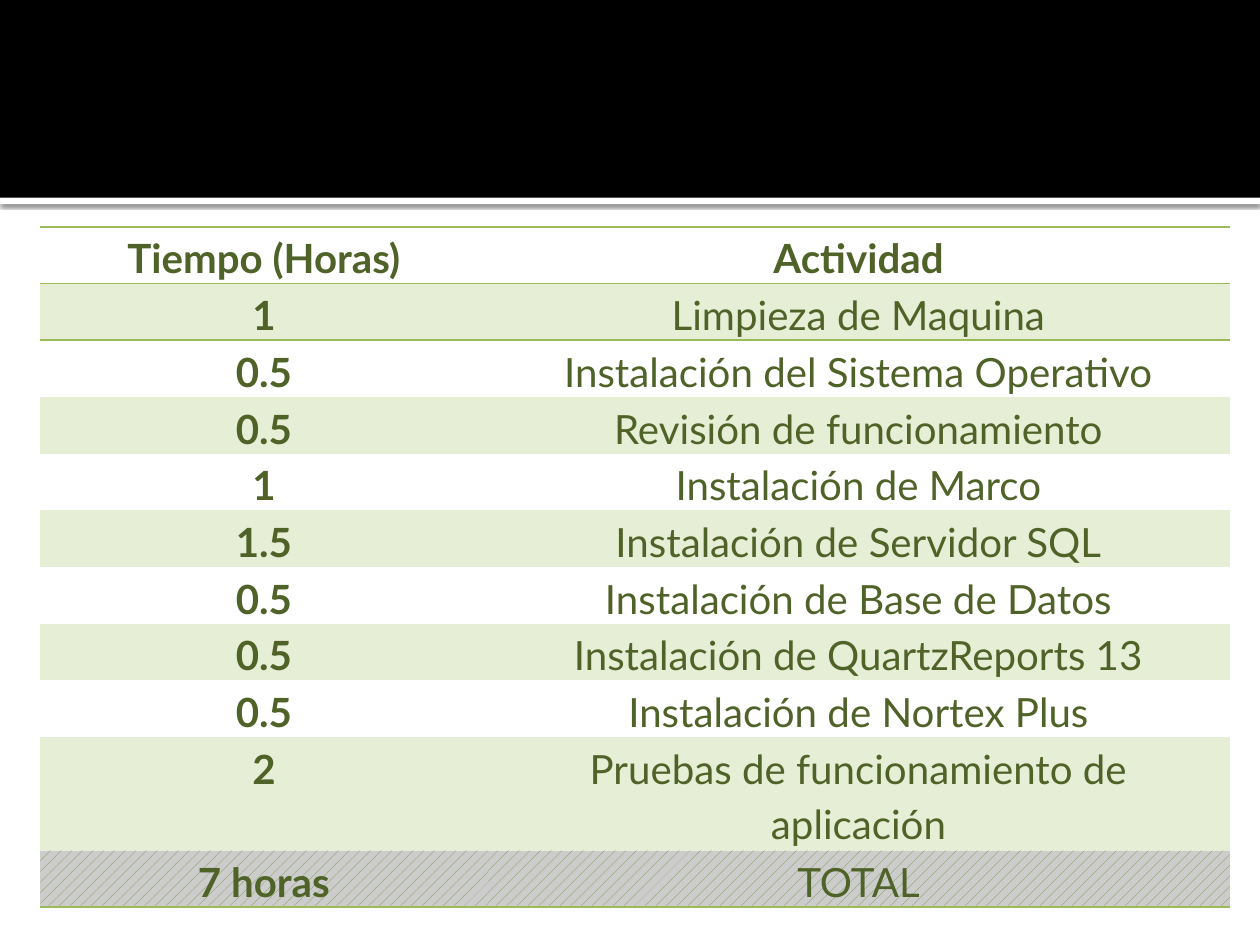
from dataclasses import dataclass

from lxml.etree import SubElement
from pptx import Presentation
from pptx.dml.color import RGBColor
from pptx.enum.dml import MSO_PATTERN
from pptx.enum.shapes import MSO_SHAPE
from pptx.enum.text import PP_ALIGN
from pptx.oxml.ns import qn
from pptx.util import Inches, Pt


@dataclass(frozen=True)
class Theme:
    font: str = "Lato"
    size: float = 23
    lead: float = 1.15
    text: str = "4F6228"
    rule: str = "9BBB59"
    shade: str = "E6EED5"
    black: str = "000000"
    white: str = "FFFFFF"
    hatch: str = "76923C"
    gray: str = "CCCCCC"


THEME = Theme()
WIDE, HIGH = 10, 7.5
BAND = 1.57
LEFT, TOP = 0.32, 1.8
COLS = (3.55, 5.89)
ROW = 0.45
BARE = "{2D5ABB26-0587-4C30-8999-92F81FD0307C}"  # no style, no grid

TASKS = [
    ("Tiempo (Horas)", "Actividad"),
    ("1", "Limpieza de Maquina"),
    ("0.5", "Instalación del Sistema Operativo"),
    ("0.5", "Revisión de funcionamiento"),
    ("1", "Instalación de Marco"),
    ("1.5", "Instalación de Servidor SQL"),
    ("0.5", "Instalación de Base de Datos"),
    ("0.5", "Instalación de QuartzReports 13"),
    ("0.5", "Instalación de Nortex Plus"),
    ("2", "Pruebas de funcionamiento de aplicación"),
    ("7 horas", "TOTAL"),
]
LAST = len(TASKS) - 1
TALL = LAST - 1  # its activity takes two lines


def color(code):
    return RGBColor.from_string(code)


def add_bar(slide, top, high, fill):
    bar = slide.shapes.add_shape(
        MSO_SHAPE.RECTANGLE, 0, Inches(top), Inches(WIDE), Inches(high))
    bar.shadow.inherit = False
    bar.fill.solid()
    bar.fill.fore_color.rgb = color(fill)
    bar.line.fill.background()
    return bar


def add_shadow(shape):
    effects = shape._element.spPr.find(qn("a:effectLst"))
    outer = SubElement(effects, qn("a:outerShdw"), blurRad=str(Pt(2.5)),
                       dist=str(Pt(0.8)), dir="5400000", algn="t", rotWithShape="0")
    tint = SubElement(outer, qn("a:srgbClr"), val=THEME.black)
    SubElement(tint, qn("a:alpha"), val="60000")


def set_text(cell, words, bold):
    cell.margin_left = cell.margin_right = Inches(0.16)
    cell.margin_top = cell.margin_bottom = 0
    para = cell.text_frame.paragraphs[0]
    para.alignment = PP_ALIGN.CENTER
    para.line_spacing = THEME.lead
    run = para.add_run()
    run.text = words
    font = run.font
    font.name, font.size, font.bold = THEME.font, Pt(THEME.size), bold
    font.color.rgb = color(THEME.text)


def set_fill(cell, row):
    fill = cell.fill
    if row == LAST:
        fill.patterned()
        fill.pattern = MSO_PATTERN.PERCENT_20
        fill.fore_color.rgb = color(THEME.hatch)
        fill.back_color.rgb = color(THEME.gray)
    elif row % 2:
        fill.solid()
        fill.fore_color.rgb = color(THEME.shade)
    else:
        fill.background()


def set_rules(cell, sides):
    props = cell._tc.get_or_add_tcPr()
    for spot, side in enumerate(sides):
        line = SubElement(props, qn("a:ln" + side), w=str(Pt(1)))
        solid = SubElement(line, qn("a:solidFill"))
        SubElement(solid, qn("a:srgbClr"), val=THEME.rule)
        props.insert(spot, line)  # lines come before the fill


def add_plan(slide):
    frame = slide.shapes.add_table(
        len(TASKS), len(COLS), Inches(LEFT), Inches(TOP),
        Inches(sum(COLS)), Inches(ROW * (len(TASKS) + 1)))
    table = frame.table
    table._tbl.tblPr.find(qn("a:tableStyleId")).text = BARE
    for col, width in zip(table.columns, COLS):
        col.width = Inches(width)
    rules = {0: "TB", 1: "T", LAST: "B"}
    for row, task in enumerate(TASKS):
        table.rows[row].height = Inches(ROW * (2 if row == TALL else 1))
        for col, words in enumerate(task):
            cell = table.cell(row, col)
            set_text(cell, words, bold=row == 0 or col == 0)
            set_fill(cell, row)
            set_rules(cell, rules.get(row, ""))


def main():
    deck = Presentation()
    deck.slide_width, deck.slide_height = Inches(WIDE), Inches(HIGH)
    slide = deck.slides.add_slide(deck.slide_layouts[6])
    # Header band with its shaded edge
    add_shadow(add_bar(slide, BAND, 0.05, THEME.white))
    add_bar(slide, 0, BAND, THEME.black)
    # Hours for each activity
    add_plan(slide)
    deck.save("out.pptx")


main()
